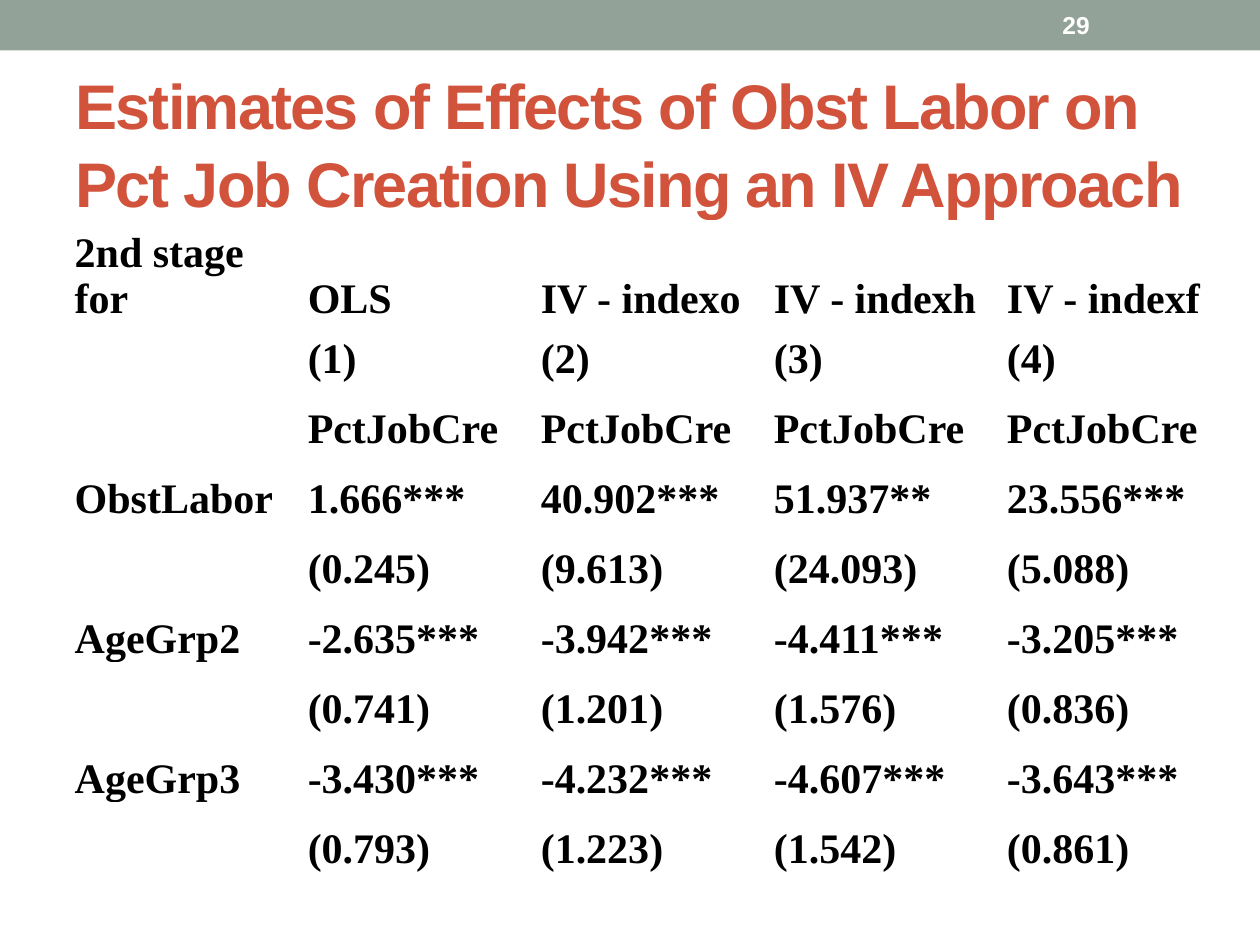
from pptx import Presentation
from pptx.dml.color import RGBColor as Rgb
from pptx.enum.shapes import MSO_SHAPE as Kind
from pptx.enum.text import MSO_ANCHOR as Anchor
from pptx.util import Pt

# Content
TITLE = "Estimates of Effects of Obst Labor on Pct Job Creation Using an IV Approach"
PAGE = "29"
ROWS = [
    ("2nd stage for", "OLS", "IV - indexo", "IV - indexh", "IV - indexf"),
    ("", "(1)", "(2)", "(3)", "(4)"),
    ("",) + ("PctJobCre",) * 4,
    ("ObstLabor", "1.666***", "40.902***", "51.937**", "23.556***"),
    ("", "(0.245)", "(9.613)", "(24.093)", "(5.088)"),
    ("AgeGrp2", "-2.635***", "-3.942***", "-4.411***", "-3.205***"),
    ("", "(0.741)", "(1.201)", "(1.576)", "(0.836)"),
    ("AgeGrp3", "-3.430***", "-4.232***", "-4.607***", "-3.643***"),
    ("", "(0.793)", "(1.223)", "(1.542)", "(0.861)"),
]
COL_W = 133.2
HEIGHTS = [40, 34.5] + [40] * 7


def color(code):
    return Rgb.from_string(code)


def write(frame, text, size, font, code):
    run = frame.paragraphs[0].add_run()
    run.text = text
    run.font.size = Pt(size)
    run.font.name = font
    run.font.bold = True
    run.font.color.rgb = color(code)
    return run


def label(box, text, size, code):
    frame = slide.shapes.add_textbox(*map(Pt, box)).text_frame
    frame.word_wrap = True
    frame.vertical_anchor = Anchor.MIDDLE
    return frame, write(frame, text, size, "Arial", code)


deck = Presentation()
deck.slide_width, deck.slide_height = Pt(720), Pt(540)
slide = deck.slides.add_slide(deck.slide_layouts[6])

# Top band
band = slide.shapes.add_shape(Kind.RECTANGLE, 0, 0, Pt(720), Pt(28.8))
band.shadow.inherit = False
band.fill.solid()
band.fill.fore_color.rgb = color("93A299")
band.line.fill.background()

# Title, with tightened letters
frame, run = label((36, 42, 648, 78), TITLE, 36, "D2533C")
frame.paragraphs[0].line_spacing = 1.04
run.font._element.set("spc", "-100")

# Table of estimates
shape = slide.shapes.add_table(len(ROWS), len(ROWS[0]), Pt(42), Pt(126),
                               Pt(COL_W * len(ROWS[0])), Pt(sum(HEIGHTS)))
table = shape.table
table.first_row = table.horz_banding = False
for col in table.columns:
    col.width = Pt(COL_W)
for row, high, texts in zip(table.rows, HEIGHTS, ROWS):
    row.height = Pt(high)
    for cell, text in zip(row.cells, texts):
        cell.fill.background()
        cell.vertical_anchor = Anchor.BOTTOM
        cell.margin_left = cell.margin_right = cell.margin_top = Pt(0.7)
        cell.margin_bottom = 0
        if text:
            write(cell.text_frame, text, 24, "Times New Roman", "000000")

# Page number
label((600, 1.4, 84, 26), PAGE, 14, "FFFFFF")

deck.save("out.pptx")
